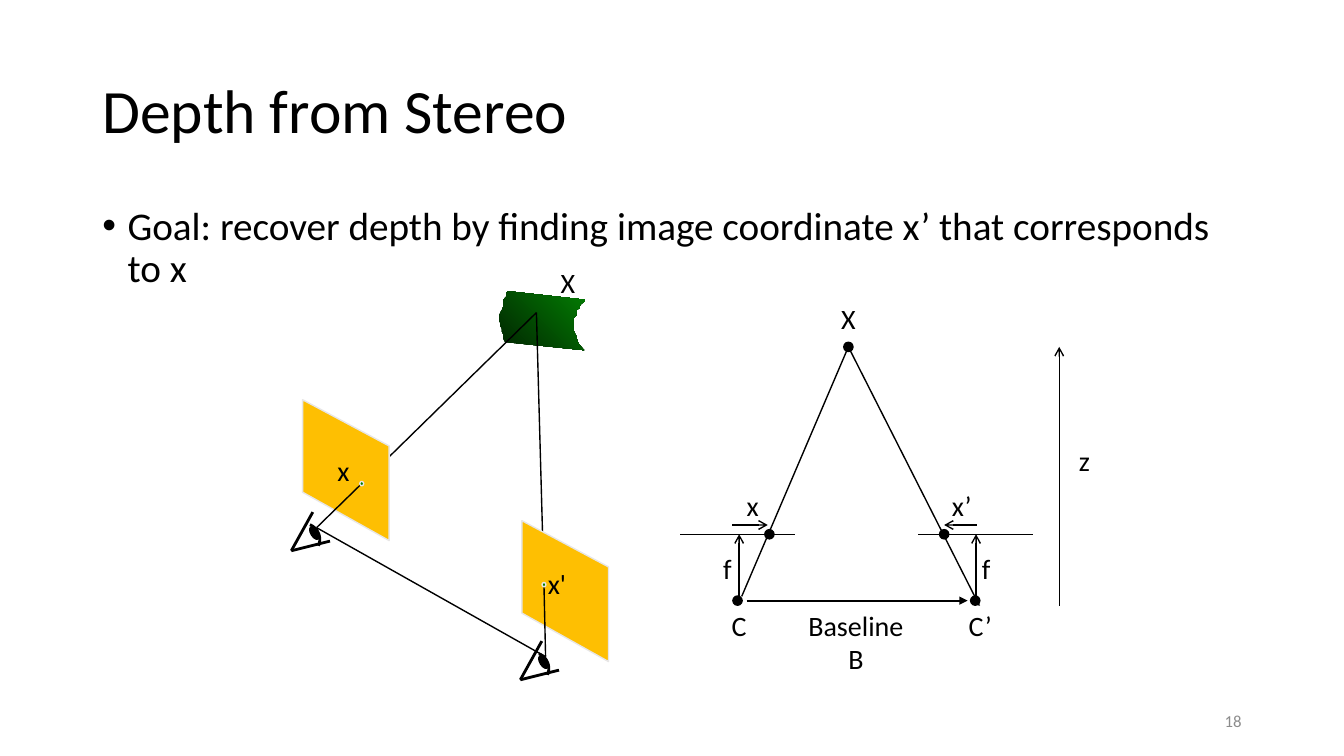
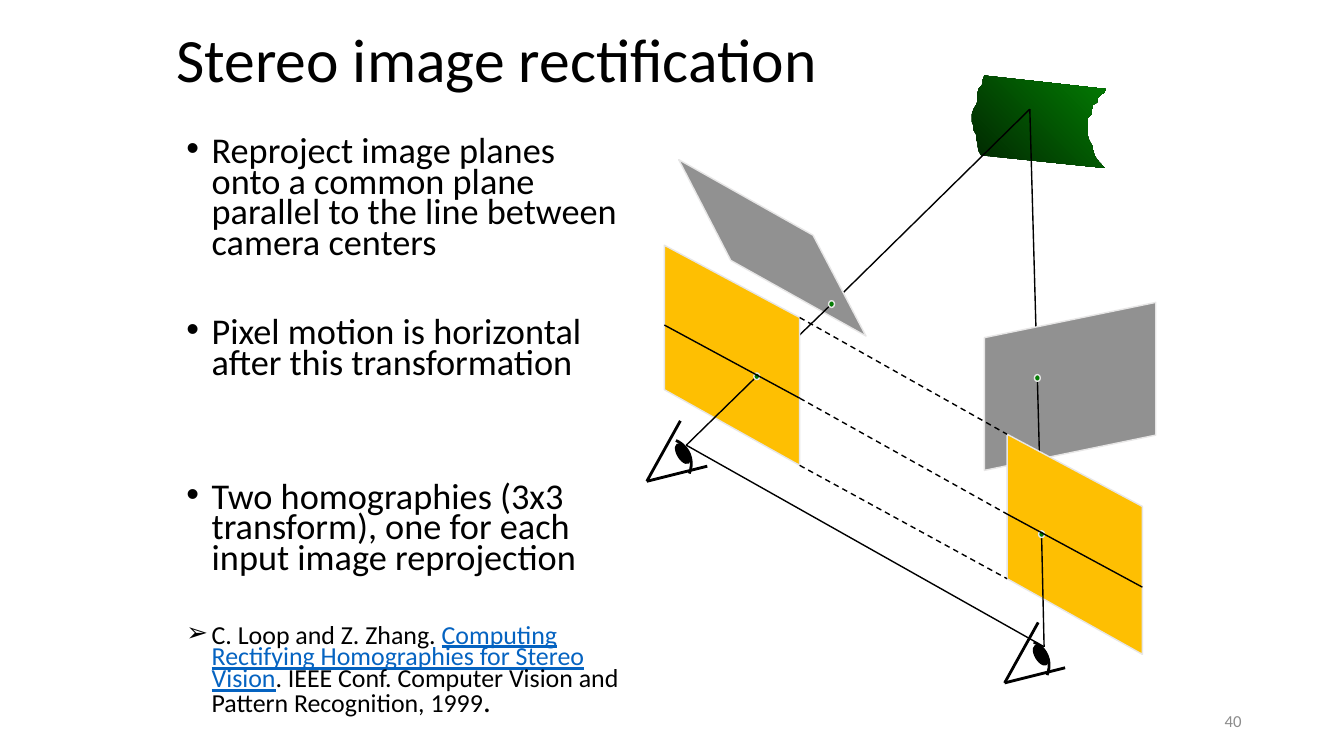
import math
from dataclasses import dataclass

import lxml.etree
import pptx
import pptx.dml.color
import pptx.enum.dml
import pptx.enum.shapes
import pptx.enum.text
import pptx.oxml.ns
import pptx.util

COLUMNS, ROWS = 160, 90
WIDTH, HEIGHT = pptx.util.Inches(13.3333), pptx.util.Inches(7.5)
FONT = "Calibri"
BLACK, GRAY, PALE = "000000", "919191", "E7E6E6"
AMBER, GREEN, DARK_GREEN = "FEBF02", "037C03", "012501"
LINK, NUMBER_GRAY = "0563C1", "8C8C8C"
ALIGN = pptx.enum.text.PP_ALIGN
MIDDLE = pptx.enum.text.MSO_ANCHOR.MIDDLE

PLANE_WIDTH = 16.1
LEFT_EDGE = (0, 9.5, 17.2)
RIGHT_EDGE = (8.6, 18.2, 26.2)
TARGET = (122.6, 13)
SURFACE = [
    (117.2, 9), (117, 9.5), (117, 10), (116.5, 10.6), (116.4, 11),
    (116.4, 12), (116.2, 12.5), (115.9, 13), (115.7, 13.6), (115.7, 14.5),
    (115.9, 15), (115.9, 15.5), (116.2, 16), (116.2, 16.6), (116.4, 17),
    (116.4, 17.5), (116.5, 18), (116.8, 18.5), (131.5, 20), (130.6, 19),
    (130.3, 18.5), (130.1, 17.8), (130, 17.3), (129.7, 16.8), (129.5, 16.2),
    (129.5, 14), (130, 13.6), (130, 13), (130.1, 12.5), (130.6, 12.2),
    (130.6, 11.8), (131, 11.3), (131.5, 11), (131.6, 10.6),
]


@dataclass
class Camera:
    eye: tuple
    image: tuple
    corner: tuple
    tilted_plane: list
    tilted_image: tuple


CAMERAS = [
    Camera((81.7, 53), (90.1, 44.8), (79.1, 29.2),
           [(87, 31), (103.1, 40), (96.8, 28), (80.8, 19)], (99, 36.2)),
    Camera((124.3, 77), (124, 63.6), (119.9, 51.7),
           [(117.2, 40.2), (117.2, 56), (137.6, 51.8), (137.6, 36)], (123.5, 45)),
]


@dataclass
class View:
    left: float = 0
    top: float = 0
    scale: float = 1

    def at(self, point, offset=(0, 0)):
        return (self.left + self.scale * (point[0] + offset[0]),
                self.top + self.scale * (point[1] + offset[1]))


def color(value):
    return pptx.dml.color.RGBColor.from_string(value)


def col(n):
    return pptx.util.Emu(round(WIDTH * n / COLUMNS))


def row(n):
    return pptx.util.Emu(round(HEIGHT * n / ROWS))


def box(left, top, width, height):
    return col(left), row(top), col(width), row(height)


def add_xml(parent, tag, **attributes):
    return lxml.etree.SubElement(parent, pptx.oxml.ns.qn(tag), attributes)


def style_font(font, size=None, fill=BLACK):
    font.name = FONT
    font.color.rgb = color(fill)
    if size:
        font.size = pptx.util.Pt(size)


def style_shape(shape, fill=None, line=None, width=1):
    shape.shadow.inherit = False
    if fill:
        shape.fill.solid()
        shape.fill.fore_color.rgb = color(fill)
    else:
        shape.fill.background()
    if line:
        shape.line.color.rgb = color(line)
        shape.line.width = pptx.util.Pt(width)
    else:
        shape.line.fill.background()


def line(s, start, end, width=1, arrow=None, dashed=False):
    c = s.shapes.add_connector(
        pptx.enum.shapes.MSO_CONNECTOR.STRAIGHT,
        col(start[0]), row(start[1]), col(end[0]), row(end[1]))
    c.line.color.rgb = color(BLACK)
    c.line.width = pptx.util.Pt(width)
    if dashed:
        c.line.dash_style = pptx.enum.dml.MSO_LINE.DASH
    if arrow:
        add_xml(c.line._get_or_add_ln(), "a:tailEnd", type=arrow)
    add_xml(c._element.spPr, "a:effectLst")


def outline(s, points, closed=True, **style):
    places = [(col(x), row(y)) for x, y in points]
    builder = s.shapes.build_freeform(*places[0])
    builder.add_line_segments(places[1:], close=closed)
    shape = builder.convert_to_shape()
    style_shape(shape, **style)
    return shape


def ellipse(s, center, width, height, fill=BLACK, edge=BLACK, rotation=0):
    shape = s.shapes.add_shape(
        pptx.enum.shapes.MSO_SHAPE.OVAL,
        *box(center[0] - width / 2, center[1] - height / 2, width, height))
    style_shape(shape, fill, edge)
    shape.rotation = rotation


def text_box(s, area, text, size, align, fill=BLACK):
    tf = s.shapes.add_textbox(*box(*area)).text_frame
    tf.word_wrap = True
    tf.vertical_anchor = MIDDLE
    p = tf.paragraphs[0]
    p.text = text
    p.alignment = align
    style_font(p.font, size, fill)


def label(s, text, x, y):
    height = 5.3 + 4 * text.count("\n")
    text_box(s, (x - 7, y - height / 2, 14, height), text, 20, ALIGN.CENTER)


def place(shape, area):
    shape.left, shape.top, shape.width, shape.height = box(*area)
    tf = shape.text_frame
    tf.word_wrap = True
    tf.auto_size = pptx.enum.text.MSO_AUTO_SIZE.NONE
    return tf


def new_slide(prs, title, title_area, number):
    s = prs.slides.add_slide(prs.slide_layouts[1])
    tf = place(s.shapes.title, title_area)
    tf.vertical_anchor = MIDDLE
    p = tf.paragraphs[0]
    p.text = title
    p.alignment = ALIGN.LEFT
    p.line_spacing = 0.9
    style_font(p.font, 44)
    text_box(s, (113, 83.4, 36, 4.8), number, 12, ALIGN.RIGHT, NUMBER_GRAY)
    return s


def bullet(tf, text, spacing, size=None, before=0, mark="•"):
    p = tf.paragraphs[0] if not before else tf.add_paragraph()
    p.text = text
    pPr = p._p.get_or_add_pPr()
    pPr.set("marL", str(col(3)))
    pPr.set("indent", str(-col(3)))
    add_xml(pPr, "a:buFont", typeface="Arial")
    add_xml(pPr, "a:buChar", char=mark)
    p.line_spacing = spacing
    p.space_before = pptx.util.Pt(before)
    style_font(p.font, size)
    return p


def eye(s, view, point):
    brow, back, chin = [view.at(point, d) for d in ((-0.7, -2.9), (-4.7, 4.3), (2.5, 2.5))]
    line(s, brow, back, width=2)
    line(s, back, chin, width=2)
    angles = [math.radians(a) for a in range(-67, 24, 9)]
    arc = [view.at(point, (-2.4 + 3 * math.cos(a), 2.2 + 3 * math.sin(a))) for a in angles]
    outline(s, arc, closed=False, line=BLACK, width=2)
    ellipse(s, view.at(point, (-0.4, 1)), 1.3 * view.scale, 2.6 * view.scale, rotation=329)


def surface(s, view):
    fill = outline(s, [view.at(point) for point in SURFACE]).fill
    fill.gradient()
    fill.gradient_angle = 45
    for stop, position, value in zip(fill.gradient_stops, (0, 1), (DARK_GREEN, GREEN)):
        stop.position = position
        stop.color.rgb = color(value)


def stereo_scene(s, view, tilted=False):
    surface(s, view)
    line(s, *[view.at(camera.eye) for camera in CAMERAS])
    plane = [(0, LEFT_EDGE[0]), (PLANE_WIDTH, RIGHT_EDGE[0]),
             (PLANE_WIDTH, RIGHT_EDGE[2]), (0, LEFT_EDGE[2])]
    dots = []
    for camera in CAMERAS:
        image, source = view.at(camera.image), view.at(TARGET)
        dots.append(image)
        if tilted:
            crossing = view.at(camera.tilted_image)
            dots.append(crossing)
            line(s, source, crossing)
            outline(s, [view.at(point) for point in camera.tilted_plane], fill=GRAY, line=PALE)
            source = crossing
        line(s, source, image)
        outline(s, [view.at(camera.corner, d) for d in plane], fill=AMBER, line=PALE)
        line(s, image, view.at(camera.eye))
        eye(s, view, camera.eye)
    for dot in dots:
        ellipse(s, dot, 0.7 * view.scale, 0.8 * view.scale, GREEN, PALE)


def scan_lines(s, view):
    left, right = [camera.corner for camera in CAMERAS]
    for start, end in zip(RIGHT_EDGE, LEFT_EDGE):
        line(s, view.at(left, (PLANE_WIDTH, start)), view.at(right, (0, end)), dashed=True)
    for corner in (left, right):
        line(s, view.at(corner, (0, LEFT_EDGE[1])), view.at(corner, (PLANE_WIDTH, RIGHT_EDGE[1])))


def depth_diagram(s):
    top, image_row, base = 41.3, 63.6, 71.5
    apex = (101, top)
    for start, end in (((81, image_row), (94.7, image_row)),
                       ((109.3, image_row), (123, image_row)),
                       ((88.3, 71), apex), ((116.6, 72.1), apex)):
        line(s, start, end)
    for start, end in (((88, 71), (88, image_row)), ((116.2, 71), (116.2, image_row)),
                       ((87.2, 62.5), (91.4, 62.5)), ((116.3, 62.5), (112.4, 62.5)),
                       ((126.1, 72.1), (126.1, top))):
        line(s, start, end, arrow="arrow")
    line(s, (88.9, base), (115.2, base), width=1.5, arrow="triangle")
    for dot in (apex, (91.6, image_row), (112.4, image_row), (87.8, base), (116.1, base)):
        ellipse(s, dot, 1.1, 1.1)
    for text, x, y in (("X", 101, 37.9), ("x", 89.6, 60.2), ("x’", 114.5, 60.2),
                       ("f", 86.6, 67.7), ("f", 117.4, 67.7), ("C", 88, 74.5),
                       ("C’", 116.7, 74.5), ("Baseline\nB", 101.9, 76.4), ("z", 129.1, 54.8)):
        label(s, text, x, y)


def depth_slide(prs):
    s = new_slide(prs, "Depth from Stereo", (11, 4.8, 138, 17.4), "18")
    tf = place(s.placeholders[1], (11, 24, 138, 57.1))
    bullet(tf, "Goal: recover depth by finding image coordinate x’ that corresponds to x", 0.9, 28)
    depth_diagram(s)
    stereo_scene(s, View(-14.6, 28.9, 0.64))
    for text, x, y in (("X", 67.6, 33.6), ("x", 40.9, 56), ("x'", 66.3, 69.4)):
        label(s, text, x, y)


def rectification_slide(prs):
    s = new_slide(prs, "Stereo image rectification", (19.8, 0, 108, 15), "40")
    tf = place(s.placeholders[1], (21, 16, 55, 72.7))
    for text, before in (
            ("Reproject image planes onto a common plane parallel to the line between camera centers", 0),
            ("Pixel motion is horizontal after this transformation", 42),
            ("Two homographies (3x3 transform), one for each input image reprojection", 74)):
        bullet(tf, text, 0.7, 25.9, before)
    p = bullet(tf, "", 0.7, before=36, mark="➢")
    for text, size, fill in (
            ("C. Loop and Z. Zhang. ", 18.5, BLACK),
            ("Computing Rectifying Homographies for Stereo Vision", 18.5, LINK),
            (". IEEE Conf. Computer Vision and Pattern Recognition, 1999", 18.5, BLACK),
            (".", 22.2, BLACK)):
        r = p.add_run()
        r.text = text
        style_font(r.font, size, fill)
        r.font.underline = fill == LINK
    view = View()
    stereo_scene(s, view, tilted=True)
    scan_lines(s, view)


def main():
    prs = pptx.Presentation()
    prs.slide_width, prs.slide_height = WIDTH, HEIGHT
    depth_slide(prs)
    rectification_slide(prs)
    prs.save("out.pptx")


if __name__ == "__main__":
    main()
